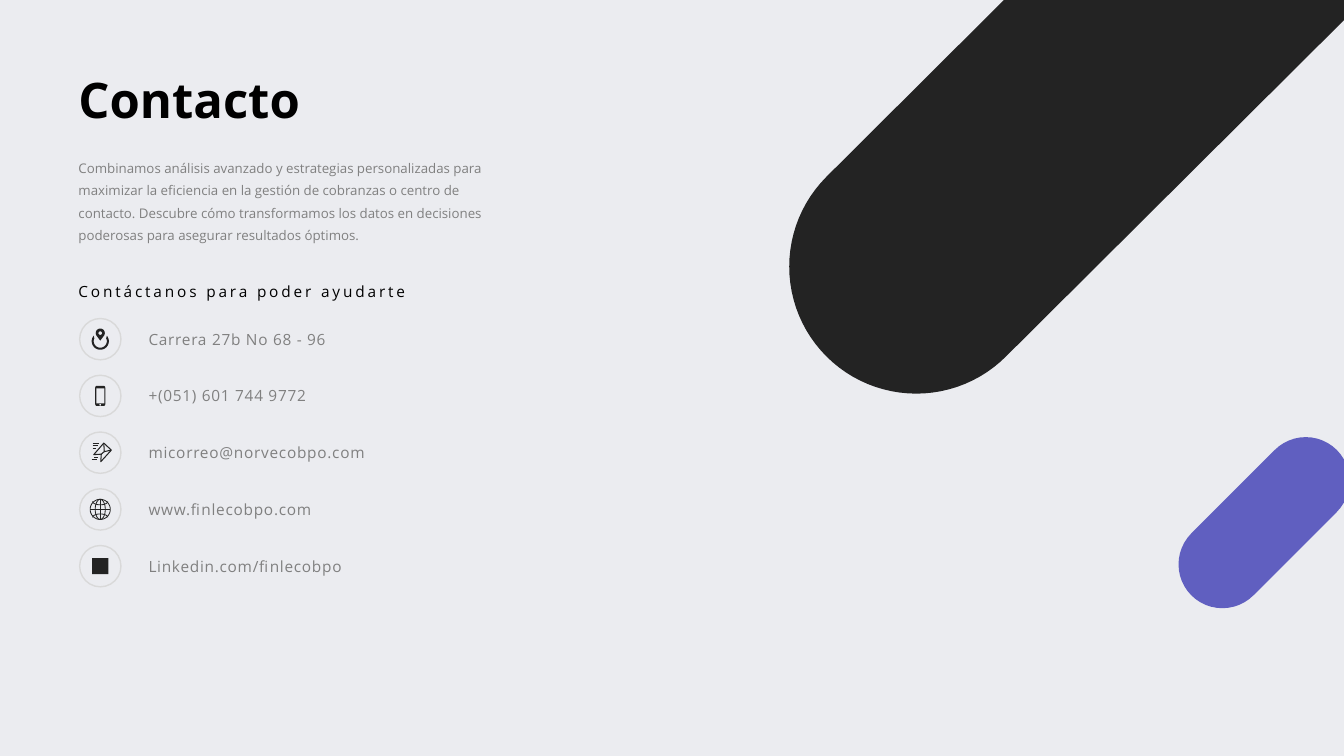
import math

import pptx
import pptx.dml.color
import pptx.enum.shapes
import pptx.enum.text
import pptx.util

RGBColor = pptx.dml.color.RGBColor
BACKGROUND = RGBColor(0xEB, 0xEC, 0xF0)
BLACK = RGBColor(0x00, 0x00, 0x00)
CHARCOAL = RGBColor(0x23, 0x23, 0x23)
GRAY = RGBColor(0x80, 0x80, 0x80)
RING_GRAY = RGBColor(0xD9, 0xD9, 0xD9)
PURPLE = RGBColor(0x60, 0x5F, 0xC0)

ELLIPSE = pptx.enum.shapes.MSO_SHAPE.OVAL
PILL = pptx.enum.shapes.MSO_SHAPE.ROUNDED_RECTANGLE
RECTANGLE = pptx.enum.shapes.MSO_SHAPE.RECTANGLE

COLUMNS, ROWS = 133.33, 75  # square grid cells, ten to the inch


def arc(x, y, radius_x, radius_y, start, end, steps=48):
    """Points along an elliptical arc, angles in degrees, clockwise."""
    angles = [math.radians(start + (end - start) * i / steps) for i in range(steps + 1)]
    return [(x + radius_x * math.cos(a), y + radius_y * math.sin(a)) for a in angles]


class SlideBuilder:
    font = "Open Sans"

    def __init__(self, presentation):
        self.slide = presentation.slides.add_slide(presentation.slide_layouts[6])
        fill = self.slide.background.fill
        fill.solid()
        fill.fore_color.rgb = BACKGROUND

    def grid(self, *cells):
        return [pptx.util.Inches(cell / 10) for cell in cells]

    def paint(self, shape, fill=None, line=None, weight=1):
        shape.shadow.inherit = False
        if fill is None:
            shape.fill.background()
        else:
            shape.fill.solid()
            shape.fill.fore_color.rgb = fill
        if line is None:
            shape.line.fill.background()
        else:
            shape.line.color.rgb = line
            shape.line.width = pptx.util.Pt(weight)

    def shape(self, kind, box, rotation=0, **paint):
        shape = self.slide.shapes.add_shape(kind, *self.grid(*box))
        shape.rotation = rotation
        self.paint(shape, **paint)
        return shape

    def outline(self, contours, origin=(0, 0), close=True, **paint):
        placed = [[self.grid(origin[0] + x, origin[1] + y) for x, y in contour]
                  for contour in contours]
        builder = self.slide.shapes.build_freeform(*placed[0][0], scale=1.0)
        for index, contour in enumerate(placed):
            if index:
                builder.move_to(*contour[0])
            builder.add_line_segments(contour[1:], close=close)
        self.paint(builder.convert_to_shape(), **paint)

    def text(self, words, box, size, color, bold=False, spacing=0, leading=None):
        frame = self.slide.shapes.add_textbox(*self.grid(*box)).text_frame
        frame.word_wrap = True
        frame.auto_size = pptx.enum.text.MSO_AUTO_SIZE.SHAPE_TO_FIT_TEXT
        paragraph = frame.paragraphs[0]
        if leading:
            paragraph.line_spacing = pptx.util.Pt(leading)
        run = paragraph.add_run()
        run.text = words
        run.font.name = self.font
        run.font.size = pptx.util.Pt(size)
        run.font.bold = bold
        run.font.color.rgb = color
        if spacing:
            run._r.get_or_add_rPr().set("spc", str(int(spacing * 100)))


# Icons, each drawn around the centre of its ring
def draw_pin(builder, center):
    cradle = arc(0, 0.2, 0.85, 0.85, -40, 220) + arc(0, 0.2, 0.65, 0.65, 205, -25)
    marker = arc(0, -0.6, 0.45, 0.45, 150, 390) + [(0, 0.15)]
    hole = arc(0, -0.6, 0.18, 0.18, 0, 360)
    builder.outline([cradle, marker, hole], center, fill=CHARCOAL)


def draw_phone(builder, center):
    x, y = center
    body = builder.shape(PILL, (x - 0.5, y - 1, 1, 2), fill=CHARCOAL)
    body.adjustments[0] = 0.18
    builder.shape(RECTANGLE, (x - 0.4, y - 0.75, 0.8, 1.5), fill=BACKGROUND)
    builder.shape(ELLIPSE, (x - 0.09, y + 0.8, 0.16, 0.16), fill=BACKGROUND)


def draw_mail(builder, center):
    envelope = [
        [(0.1, 0.15), (-0.65, 0.2), (0.35, -0.95), (1.1, -0.25), (0.05, 0.9), (0.1, 0.15)],
        [(0.1, 0.15), (0.4, -0.1), (0.35, -0.95)],
        [(0.4, -0.1), (1.1, -0.25)],
    ]
    speed_lines = [[(left, y), (right, y)] for left, right, y in (
        (-0.75, -0.1, -0.9), (-0.75, -0.25, -0.68), (-0.75, -0.45, -0.4),
        (-0.6, -0.25, 0.5), (-0.85, -0.35, 0.72))]
    builder.outline(envelope + speed_lines, center, close=False, line=CHARCOAL, weight=0.75)


def draw_globe(builder, center):
    circle, meridian = [arc(0, 0, radius, 1, 0, 360) for radius in (1, 0.5)]
    axes = [[(-1, 0), (1, 0)], [(0, -1), (0, 1)]]
    parallels = [arc(0, y, 0.75, 0.35, start, start + 180)
                 for y, start in ((-0.8, 0), (0.8, 180))]
    builder.outline([circle, meridian] + axes + parallels, center,
                    close=False, line=CHARCOAL, weight=0.6)


def draw_square(builder, center):
    x, y = center
    builder.shape(RECTANGLE, (x - 0.8, y - 0.8, 1.6, 1.6), fill=CHARCOAL)


CONTACTS = [
    ("Carrera 27b No 68 - 96", draw_pin),
    ("+(051) 601 744 9772", draw_phone),
    ("micorreo@norvecobpo.com", draw_mail),
    ("www.finlecobpo.com", draw_globe),
    ("Linkedin.com/finlecobpo", draw_square),
]


def main():
    presentation = pptx.Presentation()
    presentation.slide_width = pptx.util.Inches(COLUMNS / 10)
    presentation.slide_height = pptx.util.Inches(ROWS / 10)
    builder = SlideBuilder(presentation)

    # Diagonal pills
    corner = [(99.6, 0), (COLUMNS, 0), (COLUMNS, 2)]
    builder.outline([corner + arc(90.9, 26.45, 12.6, 12.6, 45, 225)], fill=CHARCOAL)
    pill = builder.shape(PILL, (115.2, 47.5, 20.4, 8.7), rotation=135, fill=PURPLE)
    pill.adjustments[0] = 0.5

    # Heading and introduction
    builder.text("Contacto", (6.8, 6.4, 28, 6.9), 35, BLACK, bold=True)
    builder.text(
        "Combinamos análisis avanzado y estrategias personalizadas para maximizar "
        "la eficiencia en la gestión de cobranzas o centro de contacto. Descubre cómo "
        "transformamos los datos en decisiones poderosas para asegurar resultados óptimos.",
        (6.8, 14.75, 45.5, 9.8), 9.5, GRAY, leading=16)
    builder.text("Contáctanos para poder ayudarte", (6.8, 27.5, 52.2, 2.9), 11, BLACK,
                 spacing=2)

    # Contact rows
    ring, pitch = 4.1, 5.63
    for index, (words, draw_icon) in enumerate(CONTACTS):
        top = 31.6 + index * pitch
        builder.shape(ELLIPSE, (7.9, top, ring, ring), line=RING_GRAY)
        draw_icon(builder, (7.9 + ring / 2, top + ring / 2))
        builder.text(words, (13.75, top + 0.62, 28, 2.9), 11, GRAY, spacing=0.5)

    presentation.save("out.pptx")


if __name__ == "__main__":
    main()
